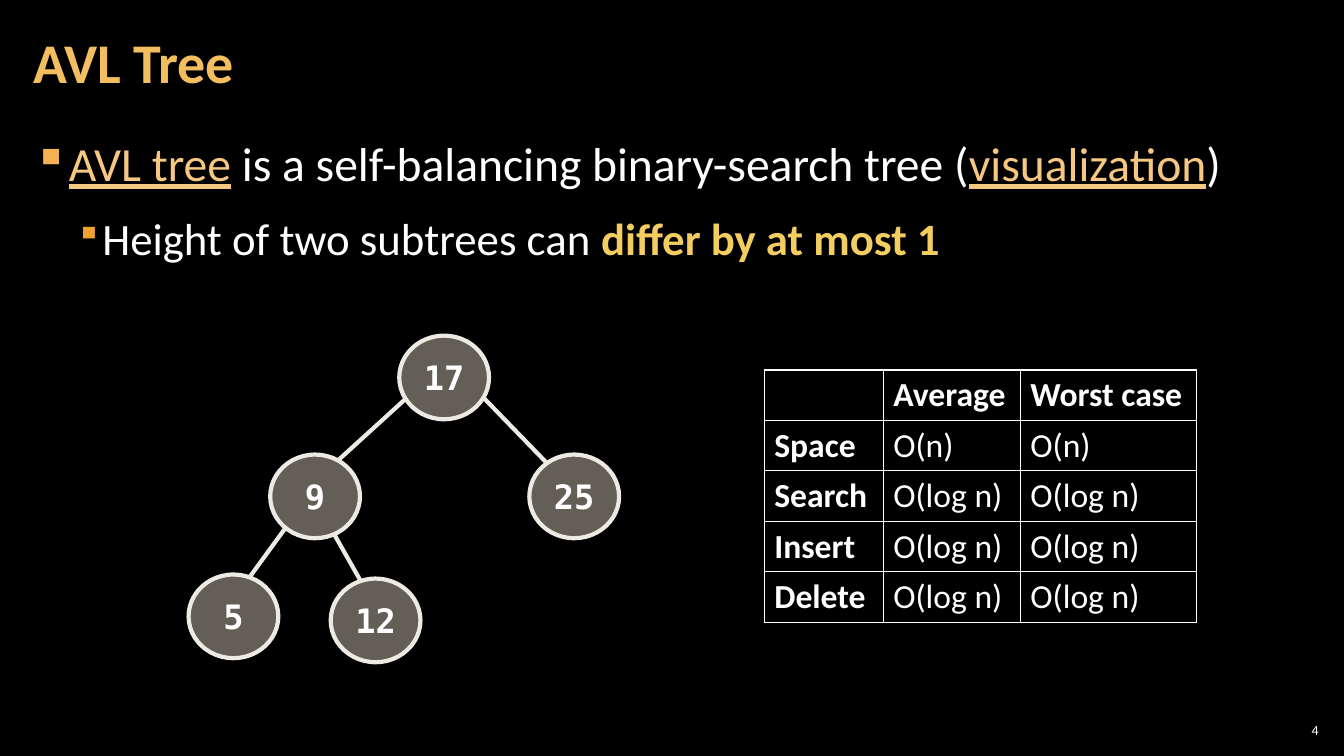
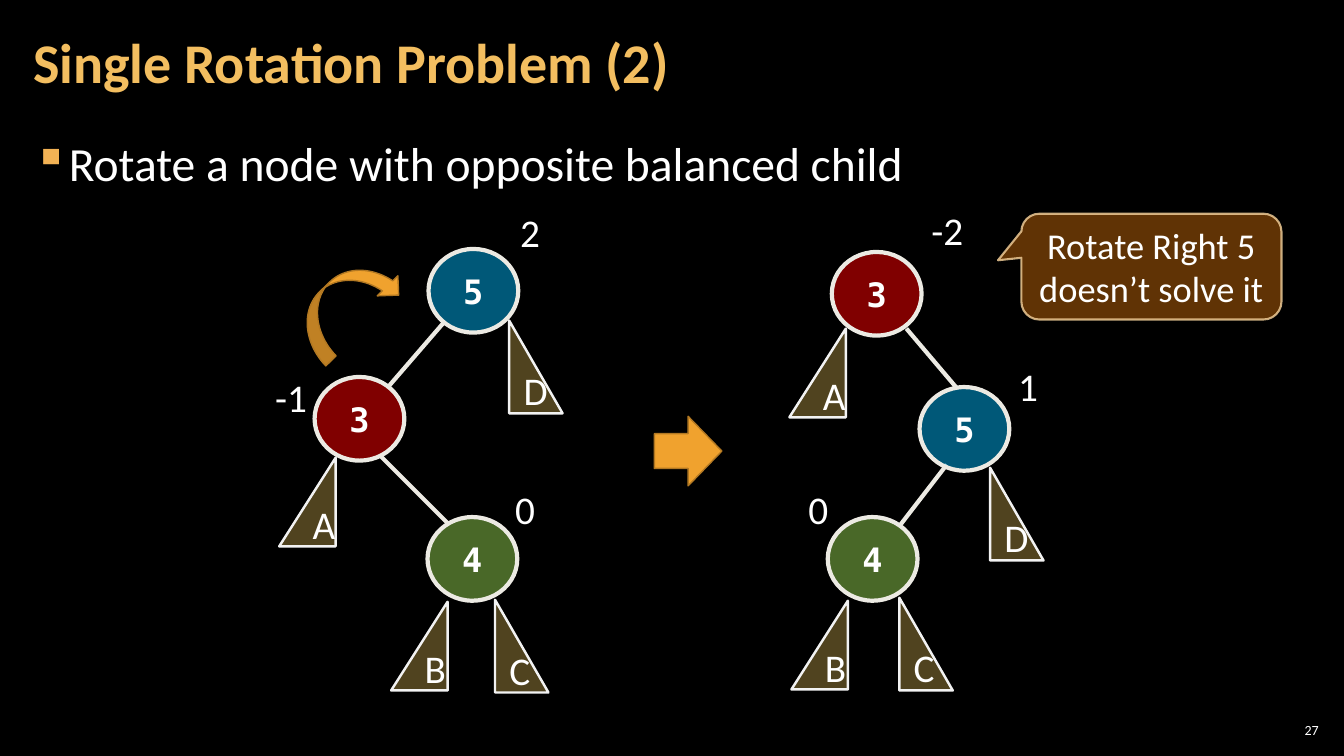
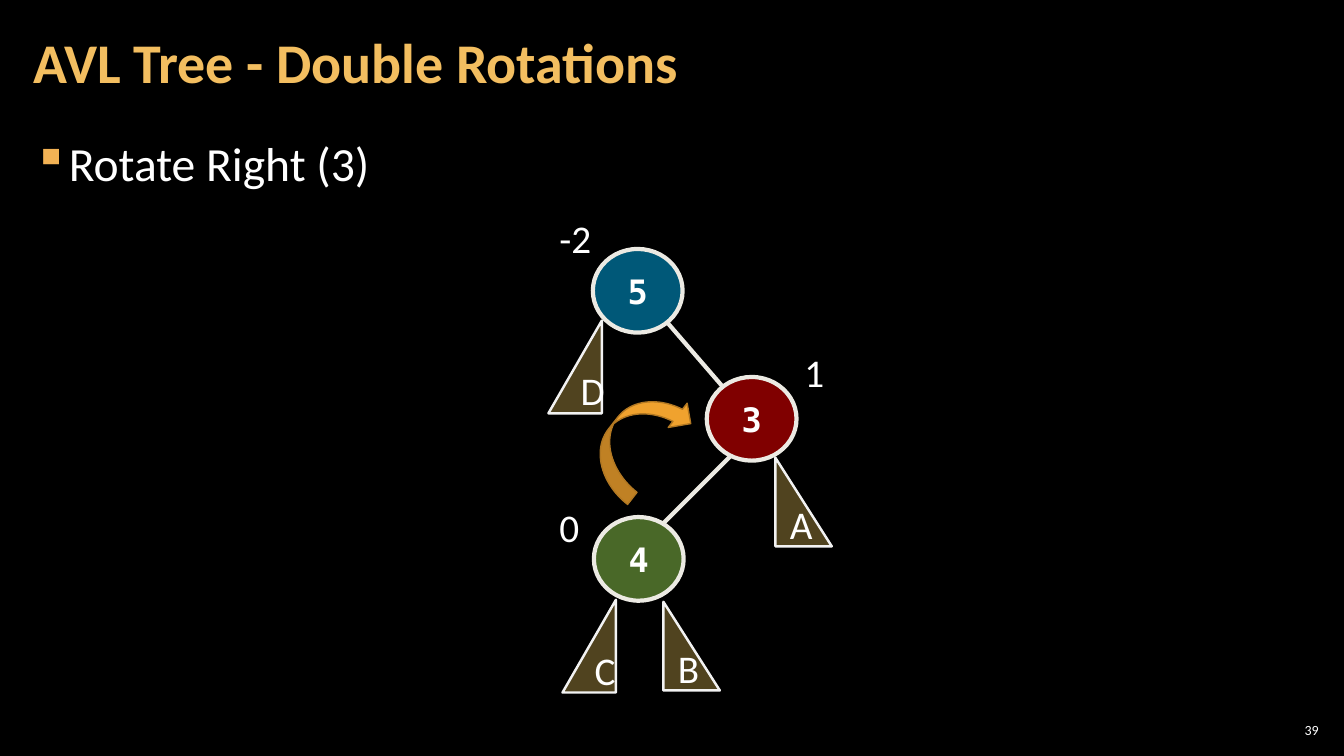
"""Build three slides on AVL trees and their rotations."""
from dataclasses import dataclass
from typing import NamedTuple

from lxml.etree import SubElement
from pptx import Presentation
from pptx.dml.color import RGBColor as RGB
from pptx.enum.shapes import MSO_CONNECTOR as LINK, MSO_SHAPE as SHAPE
from pptx.enum.text import MSO_ANCHOR as ANCHOR, MSO_AUTO_SIZE as FIT, PP_ALIGN as ALIGN
from pptx.oxml.ns import qn
from pptx.util import Inches, Pt

BLACK = RGB(0x00, 0x00, 0x00)
WHITE = RGB(0xFF, 0xFF, 0xFF)
GOLD = RGB(0xF3, 0xBE, 0x60)
PEACH = RGB(0xF6, 0xC7, 0x81)
LEMON = RGB(0xF3, 0xCD, 0x60)
AMBER = RGB(0xF2, 0xB2, 0x54)
ORANGE = RGB(0xF0, 0xA2, 0x2E)
BRONZE = RGB(0xB2, 0x78, 0x22)
BROWN = RGB(0x66, 0x36, 0x06)
SAND = RGB(0xF8, 0xD4, 0x9E)
IVORY = RGB(0xEC, 0xEA, 0xE3)
PALE = RGB(0xF2, 0xF2, 0xF2)
STONE = RGB(0xC7, 0xBF, 0xAC)
BLUE = RGB(0x00, 0xB0, 0xF0)
RED = RGB(0xFF, 0x00, 0x00)
GREEN = RGB(0x92, 0xD0, 0x50)

SANS, MONO = "Calibri", "DejaVu Sans Mono"
NODE_W, NODE_H = 0.89, 0.83
WIDE, SLIM = (0.56, 0.88), (0.53, 0.92)


class Span(NamedTuple):
    """A stretch of text with its own look."""
    text: str
    color: RGB = WHITE
    bold: bool = False
    line: bool = False


class Level(NamedTuple):
    """The look of one bullet level."""
    size: int
    left: float
    hang: float
    color: RGB
    scale: int


LEVELS = (Level(34, 0.33, 0.33, AMBER, 100), Level(32, 0.67, 0.25, ORANGE, 80))


class Edge(NamedTuple):
    """A line between two nodes."""
    x1: float
    y1: float
    x2: float
    y2: float


class Node(NamedTuple):
    """A round tree node."""
    x: float
    y: float
    text: str
    color: RGB = STONE


class Wedge(NamedTuple):
    """A triangle that stands for a subtree."""
    x: float
    y: float
    size: tuple[float, float]
    text: str
    flip: bool = False


class Label(NamedTuple):
    """A balance factor beside a node."""
    x: float
    y: float
    text: str
    w: float = 0.64


@dataclass
class Tree:
    """The edges, nodes and subtrees of one tree."""
    edges: list[Edge]
    nodes: list[Node]
    wedges: list[Wedge]

    def mirror(self, span: float) -> "Tree":
        """Return the tree reflected so that x becomes span - x."""
        def turn(x: float, w: float = 0) -> float:
            return round(span - x - w, 2)

        return Tree(
            [Edge(turn(e.x1), e.y1, turn(e.x2), e.y2) for e in self.edges],
            [n._replace(x=turn(n.x, NODE_W)) for n in self.nodes],
            [w._replace(x=turn(w.x, w.size[0]), flip=not w.flip) for w in self.wedges],
        )


INTRO = Tree(
    [Edge(4.02, 3.96, 3.35, 4.57), Edge(2.83, 5.24, 2.48, 5.72),
     Edge(3.32, 5.31, 3.57, 5.75), Edge(4.8, 3.95, 5.43, 4.6)],
    [Node(3.96, 3.33, "17"), Node(5.25, 4.51, "25"), Node(2.68, 4.51, "9"),
     Node(1.87, 5.7, "5"), Node(3.28, 5.74, "12")],
    [],
)
BEFORE = Tree(
    [Edge(4.41, 3.19, 3.84, 3.85), Edge(3.78, 4.53, 4.44, 5.19)],
    [Node(4.25, 2.47, "5", BLUE), Node(3.12, 3.74, "3", RED), Node(4.24, 5.13, "4", GREEN)],
    [Wedge(5.05, 3.18, SLIM, "D"), Wedge(2.77, 4.54, WIDE, "A", True),
     Wedge(4.91, 5.95, SLIM, "C"), Wedge(3.88, 5.97, WIDE, "B", True)],
)
AFTER = Tree(
    [Edge(8.99, 3.26, 9.49, 3.85), Edge(9.39, 4.61, 8.92, 5.22)],
    [Node(9.12, 3.84, "5", BLUE), Node(8.25, 2.5, "3", RED), Node(8.21, 5.13, "4", GREEN)],
    [Wedge(9.82, 4.64, SLIM, "D"), Wedge(7.83, 3.26, WIDE, "A", True),
     Wedge(8.92, 5.93, SLIM, "C"), Wedge(7.85, 5.96, WIDE, "B", True)],
)
COSTS = [("", "Average", "Worst case"), ("Space", "O(n)", "O(n)")] + [
    (task, "O(log n)", "O(log n)") for task in ("Search", "Insert", "Delete")]


def inch(*sizes: float) -> list[Inches]:
    """Turn numbers into lengths."""
    return [Inches(size) for size in sizes]


def style(para, size: float, color: RGB | None = WHITE, bold: bool = False,
          face: str = SANS) -> None:
    """Set the font of a paragraph."""
    font = para.font
    font.name, font.size, font.bold = face, Pt(size), bold
    if color is not None:
        font.color.rgb = color


def pad(frame, side: float, end: float = 0.04) -> None:
    """Set the insets of a text frame."""
    frame.margin_left = frame.margin_right = Inches(side)
    frame.margin_top = frame.margin_bottom = Inches(end)


def fade(owner, share: int) -> None:
    """Make the solid fill under an element partly clear."""
    color = owner.find(qn("a:solidFill"))[0]
    SubElement(color, qn("a:alpha"), val=str(share * 1000))


def add_text(slide, box: tuple, text: str, size: float):
    """Add a box with one line of text and return its frame."""
    frame = slide.shapes.add_textbox(*inch(*box)).text_frame
    frame.word_wrap = True
    para = frame.paragraphs[0]
    para.text = text
    style(para, size)
    return frame


def add_form(slide, kind: SHAPE, box: tuple, fill: RGB, line: RGB, width: float,
             flip: bool = False):
    """Add a filled and outlined preset shape."""
    form = slide.shapes.add_shape(kind, *inch(*box))
    form.shadow.inherit = False
    form.fill.solid()
    form.fill.fore_color.rgb = fill
    form.line.color.rgb = line
    form.line.width = Pt(width)
    if flip:
        form._element.spPr.xfrm.set("flipH", "1")
    return form


def write(form, text: str, size: float, bold: bool = False, face: str = SANS,
          wrap: bool = True) -> None:
    """Put centred text into a shape."""
    frame = form.text_frame
    frame.word_wrap = wrap
    frame.vertical_anchor = ANCHOR.MIDDLE
    para = frame.paragraphs[0]
    para.text, para.alignment = text, ALIGN.CENTER
    style(para, size, bold=bold, face=face)


def add_bullet(para, spans: list[Span], depth: int) -> None:
    """Fill a paragraph as a bullet of the given depth."""
    look = LEVELS[depth]
    para.level = depth
    para.line_spacing = 1.05
    para.space_before, para.space_after = Pt(6 if depth else 0), Pt(6)
    props = para._p.get_or_add_pPr()
    props.set("marL", str(Inches(look.left)))
    props.set("indent", str(-Inches(look.hang)))
    SubElement(SubElement(props, qn("a:buClr")), qn("a:srgbClr"), val=str(look.color))
    SubElement(props, qn("a:buSzPct"), val=str(look.scale * 1000))
    SubElement(props, qn("a:buChar"), char="▪")
    style(para, look.size, None)
    for span in spans:
        run = para.add_run()
        run.text = span.text
        run.font.color.rgb = span.color
        if span.bold:
            run.font.bold = True
        if span.line:
            run.font.underline = True


def add_slide(deck, title: str, page: int, lines: list[list[Span]]):
    """Add a slide with its page number, bullets and title."""
    slide = deck.slides.add_slide(deck.slide_layouts[5])
    foot = add_text(slide, (12.65, 7.14, 0.47, 0.21), str(page), 10)
    foot.vertical_anchor = ANCHOR.MIDDLE
    foot.paragraphs[0].alignment = ALIGN.RIGHT
    pad(foot, 0.04)

    body = slide.shapes.add_textbox(*inch(0.21, 1.26, 12.91, 6.09)).text_frame
    body.word_wrap = True
    pad(body, 0.12)
    for depth, spans in enumerate(lines):
        para = body.add_paragraph() if depth else body.paragraphs[0]
        add_bullet(para, spans, depth)

    head = slide.shapes.title
    head.left, head.top, head.width, head.height = inch(0.21, 0.04, 10.47, 1.21)
    frame = head.text_frame
    frame.auto_size, frame.vertical_anchor = FIT.NONE, ANCHOR.MIDDLE
    pad(frame, 0.12)
    para = frame.paragraphs[0]
    para.text, para.alignment, para.line_spacing = title, ALIGN.LEFT, 0.9
    style(para, 40, GOLD, True)
    return slide


def add_tree(slide, tree: Tree) -> None:
    """Draw the edges, nodes and subtrees of a tree."""
    for edge in tree.edges:
        link = slide.shapes.add_connector(LINK.STRAIGHT, *inch(*edge))
        link.line.color.rgb = IVORY
        link.line.width = Pt(3)
        SubElement(link._element.spPr, qn("a:effectLst"))
    for node in tree.nodes:
        form = add_form(slide, SHAPE.OVAL, (node.x, node.y, NODE_W, NODE_H),
                        node.color, IVORY, 3)
        fade(form._element.spPr, 50)
        write(form, node.text, 24, True, MONO, False)
    for wedge in tree.wedges:
        form = add_form(slide, SHAPE.RIGHT_TRIANGLE, (wedge.x, wedge.y, *wedge.size),
                        LEMON, PALE, 1.75, wedge.flip)
        fade(form._element.spPr, 33)
        write(form, wedge.text, 28)


def add_labels(slide, labels: list[Label]) -> None:
    """Write the balance factors."""
    for label in labels:
        add_text(slide, (label.x, label.y, label.w, 0.57), label.text, 28)


def add_arrow(slide, kind: SHAPE, box: tuple, turn: float = 0, flip: bool = False) -> None:
    """Add an orange block arrow."""
    add_form(slide, kind, box, ORANGE, BRONZE, 1, flip).rotation = turn


def add_costs(slide) -> None:
    """Add the table of running costs."""
    grid = slide.shapes.add_table(len(COSTS), 3, *inch(7.58, 3.67, 4.29, 2.5)).table
    grid.first_row = grid.horz_banding = False
    for col, width in zip(grid.columns, inch(1.18, 1.36, 1.75)):
        col.width = width
    for r, row in enumerate(COSTS):
        for c, text in enumerate(row):
            cell = grid.cell(r, c)
            cell.fill.background()
            para = cell.text_frame.paragraphs[0]
            para.text = text
            style(para, 24, bold=r == 0 or c == 0)
            props = cell._tc.get_or_add_tcPr()
            for spot, side in enumerate("LRTB"):
                edge = SubElement(props, qn(f"a:ln{side}"), w=str(Pt(1)))
                fill = SubElement(edge, qn("a:solidFill"))
                SubElement(fill, qn("a:srgbClr"), val=str(WHITE))
                props.insert(spot, edge)


def add_note(slide, text: str) -> None:
    """Add the speech bubble."""
    note = add_form(slide, SHAPE.ROUNDED_RECTANGULAR_CALLOUT, (10.13, 2.12, 2.58, 1.05),
                    BROWN, SAND, 1.5)
    for spot, value in enumerate((-0.59, -0.06, 0.17)):
        note.adjustments[spot] = value
    props = note._element.spPr
    fade(props, 95)
    fade(props.find(qn("a:ln")), 80)
    write(note, text, 26)


def main() -> None:
    """Build and save the deck."""
    deck = Presentation()
    deck.slide_width, deck.slide_height = inch(13.33, 7.5)
    ground = deck.slide_master.background.fill
    ground.solid()
    ground.fore_color.rgb = BLACK

    intro = add_slide(deck, "AVL Tree", 4, [
        [Span("AVL tree", PEACH, line=True), Span(" is a self-balancing binary-search tree ("),
         Span("visualization", PEACH, line=True), Span(")")],
        [Span("Height of two subtrees can "), Span("differ by at most 1", LEMON, True)],
    ])
    add_costs(intro)
    add_tree(intro, INTRO)

    single = add_slide(deck, "Single Rotation Problem (2)", 27,
                       [[Span("Rotate a node with opposite balanced child")]])
    add_tree(single, BEFORE)
    add_note(single, "Rotate Right 5 doesn’t solve it")
    add_arrow(single, SHAPE.CURVED_DOWN_ARROW, (2.87, 2.74, 1.15, 0.57), 315.8)
    add_tree(single, AFTER)
    add_arrow(single, SHAPE.RIGHT_ARROW, (6.49, 4.13, 0.67, 0.69))
    add_labels(single, [Label(5.06, 2.02, "2"), Label(2.63, 3.65, "-1"), Label(5.01, 4.77, "0"),
                        Label(7.92, 4.77, "0"), Label(10, 3.55, "1"), Label(9.14, 2, "-2")])

    double = add_slide(deck, "AVL Tree - Double Rotations", 39, [[Span("Rotate Right (3)")]])
    add_tree(double, BEFORE.mirror(11.02))
    add_arrow(double, SHAPE.CURVED_UP_ARROW, (5.76, 4.05, 1.17, 0.61), 128, True)
    add_labels(double, [Label(5.45, 2.08, "-2", 0.61), Label(7.88, 3.41, "1", 0.61),
                        Label(5.45, 4.94, "0", 0.61)])
    deck.save("out.pptx")


if __name__ == "__main__":
    main()
